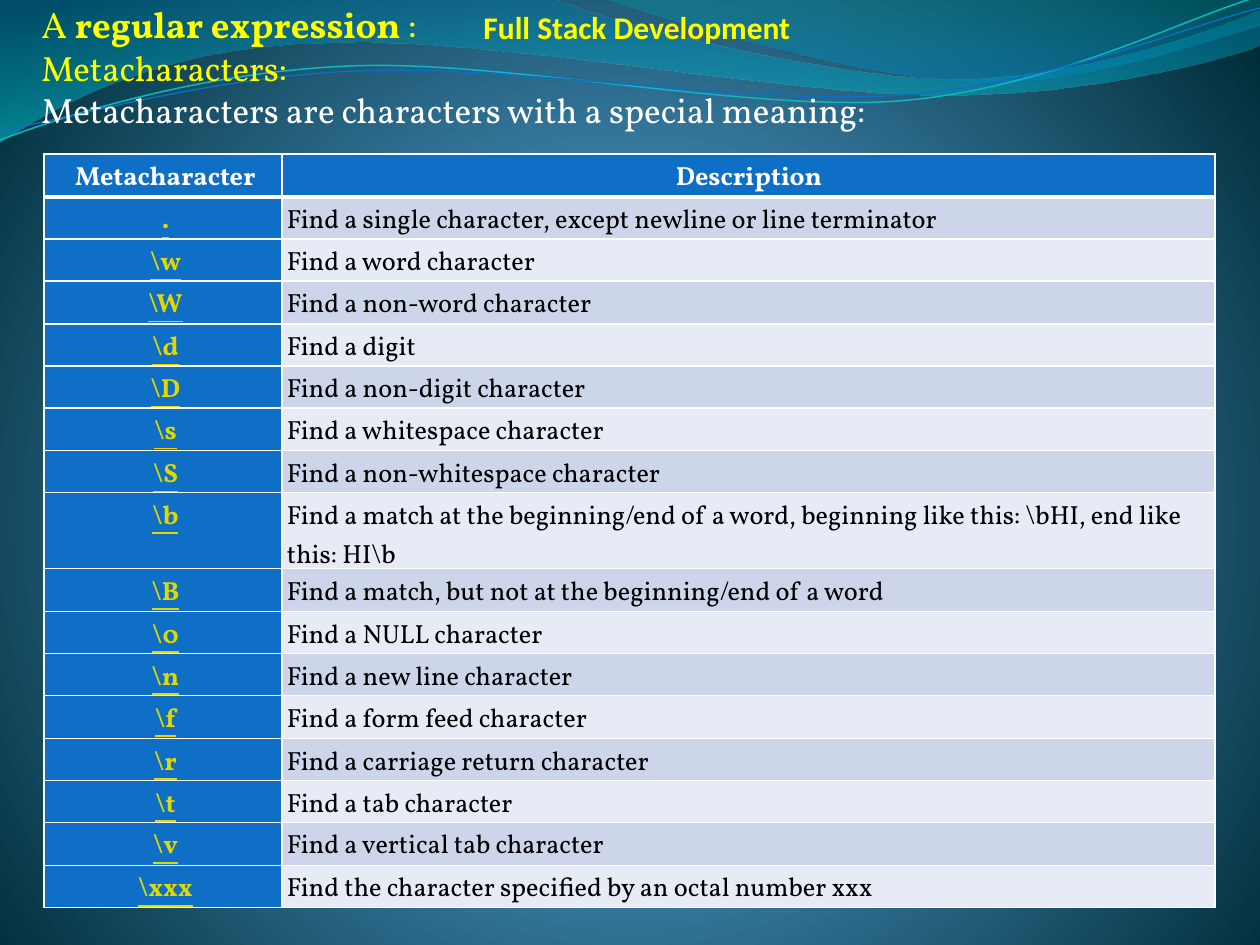
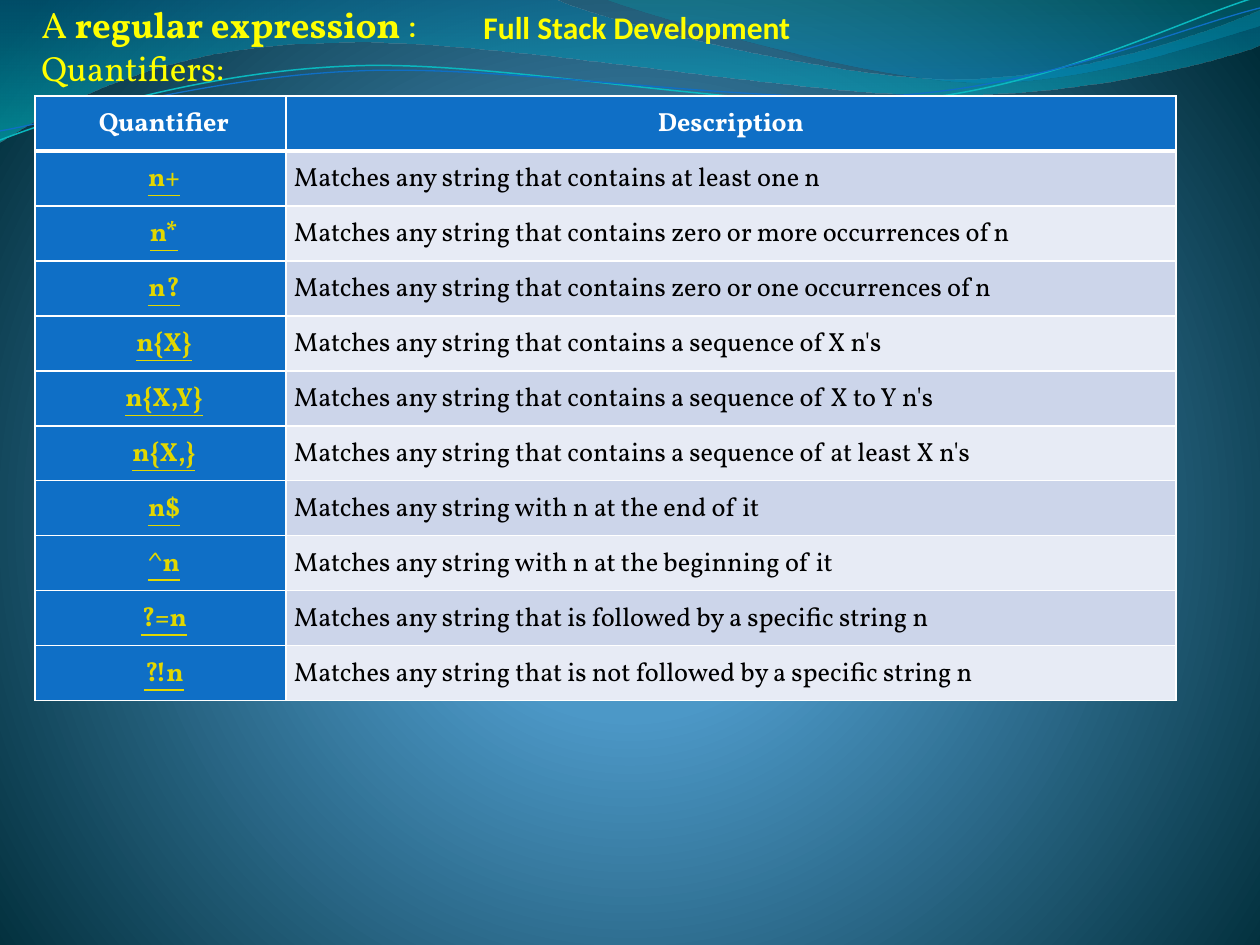
from lxml import etree
from pptx import Presentation
from pptx import util as u
from pptx.dml import color as dml
from pptx.enum import text
from pptx.oxml import ns

PX = 914400 // 126
HARD_SPACE = chr(160)
COLORS = {
    "yellow": "FFFF00", "white": "FFFFFF", "black": "000000", "code": "E2D700",
    "blue": "0F6FC6", "cyan": "0AB8BF", "band_dark": "CCD5EA", "band_light": "E7EBF5",
}
BACKGROUND_STOPS = [(0, "4AA0D6", 100), (25, "4C98C7", 100), (100, "002C38", 100)]
BACKGROUND_SHADE = '<a:path path="circle"><a:fillToRect l="10000" t="110000" r="10000" b="100000"/></a:path>'
WAVE_SHADE = '<a:lin ang="5400000" scaled="0"/>'

WAVES = [
    ([(0, "0074A1", 45), (100, "00C6CF", 55)], (0, 0), [
        [(554, -1)],
        [(600, 21), (837, 79), (955, 79)],
        [(1075, 79), (1207, 33), (1260, 11)],
        [(1261, 45)],
        [(1239, 55), (1096, 96), (940, 95)],
        [(784, 95), (481, 35), (324, 43)],
        [(163, 45), (58, 105), (-1, 142)],
        [(0, 0)],
    ]),
    ([(0, "00A1A9", 30), (80, "008BBF", 45)], (604, -1), [
        [(641, 14), (859, 78), (969, 82)],
        [(1079, 87), (1211, 40), (1260, 26)],
        [(1260, 0)],
        [(604, -1)],
    ]),
    (("cyan", 0.85), (0, 140), [
        [(60, 117), (199, 72), (349, 66)],
        [(498, 59), (747, 112), (898, 101)],
        [(1050, 89), (1182, 19), (1257, -3)],
    ]),
    (("blue", 0.75), (0, 131), [
        [(59, 121), (207, 77), (357, 71)],
        [(508, 64), (752, 106), (903, 95)],
        [(1053, 84), (1186, 26), (1260, 8)],
    ]),
]

METACHARACTERS = [
    ("Metacharacter", "Description"),
    (".", "Find a single character, except newline or line terminator"),
    (r"\w", "Find a word character"),
    (r"\W", "Find a non-word character"),
    (r"\d", "Find a digit"),
    (r"\D", "Find a non-digit character"),
    (r"\s", "Find a whitespace character"),
    (r"\S", "Find a non-whitespace character"),
    (r"\b", r"Find a match at the beginning/end of a word, beginning like this: \bHI, end like this: HI\b"),
    (r"\B", "Find a match, but not at the beginning/end of a word"),
    (r"\0", "Find a NULL character"),
    (r"\n", "Find a new line character"),
    (r"\f", "Find a form feed character"),
    (r"\r", "Find a carriage return character"),
    (r"\t", "Find a tab character"),
    (r"\v", "Find a vertical tab character"),
    (r"\xxx", "Find the character specified by an octal number xxx"),
]
QUANTIFIERS = [
    ("Quantifier", "Description"),
    ("n+", "Matches any string that contains at least one~n"),
    ("n*", "Matches any string that contains zero or more occurrences of~n"),
    ("n?", "Matches any string that contains zero or one occurrences of~n"),
    ("n{X}", "Matches any string that contains a sequence of~X~n's"),
    ("n{X,Y}", "Matches any string that contains a sequence of X to Y~n's"),
    ("n{X,}", "Matches any string that contains a sequence of at least X~n's"),
    ("n$", "Matches any string with~n~at the end of it"),
    ("^n", "Matches any string with~n~at the beginning of it"),
    ("?=n", "Matches any string that is followed by a specific string~n"),
    ("?!n", "Matches any string that is not followed by a specific string~n"),
]
SLIDES = [
    {
        "lines": [("Metacharacters:", "yellow"),
                  ("Metacharacters are characters with a special meaning:", "white")],
        "rows": METACHARACTERS, "left": 44, "top": 154, "widths": (238, 933),
        "heights": [76 if code == r"\b" else 43 if index % 3 == 0 else 42
                    for index, (code, _) in enumerate(METACHARACTERS)],
        "inset": 4, "side_inset": 5, "code_inset": 9,
    },
    {
        "lines": [("Quantifiers:", "yellow")],
        "rows": QUANTIFIERS, "left": 35, "top": 96, "widths": (251, 890),
        "heights": [55] * len(QUANTIFIERS),
        "inset": 8, "side_inset": 8, "code_inset": 15,
    },
]


def paint_gradient(element, fill, stops, shade):
    fill.gradient()
    old = next(element.iter(ns.qn("a:gradFill")))
    stop_xml = "".join(
        f'<a:gs pos="{position * 1000}"><a:srgbClr val="{color}">'
        f'<a:alpha val="{opacity * 1000}"/></a:srgbClr></a:gs>'
        for position, color, opacity in stops)
    gradient = etree.fromstring(
        f'<a:gradFill {ns.nsdecls("a")} rotWithShape="1"><a:gsLst>{stop_xml}</a:gsLst>{shade}</a:gradFill>')
    old.getparent().replace(old, gradient)


def add_run(paragraph, words, size, color, bold=False, underline=False, font="Vollkorn"):
    run = paragraph.add_run()
    run.text = words.replace("~", HARD_SPACE)
    run.font.name = font
    run.font.size = u.Pt(size)
    run.font.bold = bold
    run.font.underline = underline
    run.font.color.rgb = dml.RGBColor.from_string(COLORS[color])


presentation = Presentation()
presentation.slide_width = 1260 * PX
presentation.slide_height = 945 * PX

for content in SLIDES:
    slide = presentation.slides.add_slide(presentation.slide_layouts[6])
    paint_gradient(slide.element, slide.background.fill, BACKGROUND_STOPS, BACKGROUND_SHADE)

    for paint, start, segments in WAVES:
        filled = isinstance(paint, list)
        builder = slide.shapes.build_freeform(*start, scale=PX)
        builder.add_line_segments([point for segment in segments for point in segment], close=filled)
        wave = builder.convert_to_shape()
        wave.shadow.inherit = False
        lines = iter(list(wave.element.iter(ns.qn("a:lnTo"))))
        for segment in segments:
            pieces = [next(lines) for _ in segment]
            if len(pieces) == 3:
                curve = etree.Element(ns.qn("a:cubicBezTo"))
                pieces[0].addprevious(curve)
                for piece in pieces:
                    curve.append(piece[0])
                    piece.getparent().remove(piece)
        if filled:
            paint_gradient(wave.element, wave.fill, paint, WAVE_SHADE)
            wave.line.fill.background()
        else:
            wave.fill.background()
            wave.line.color.rgb = dml.RGBColor.from_string(COLORS[paint[0]])
            wave.line.width = u.Pt(paint[1])

    course = slide.shapes.add_textbox(243 * PX, 2 * PX, 788 * PX, 50 * PX)
    heading = slide.shapes.add_textbox(29 * PX, -4 * PX, 1206 * PX, 782 * PX)
    for box in (course, heading):
        box.text_frame.word_wrap = True
        box.text_frame.auto_size = text.MSO_AUTO_SIZE.SHAPE_TO_FIT_TEXT

    paragraph = course.text_frame.paragraphs[0]
    paragraph.alignment = text.PP_ALIGN.CENTER
    add_run(paragraph, "Full Stack Development", 18, "yellow", bold=True, font="Calibri")

    paragraph = heading.text_frame.paragraphs[0]
    add_run(paragraph, "A~", 21, "yellow")
    add_run(paragraph, "regular expression~", 21, "yellow", bold=True)
    add_run(paragraph, ":", 21, "yellow")
    for words, color in content["lines"]:
        add_run(heading.text_frame.add_paragraph(), words, 20, color)

    rows, widths, heights = content["rows"], content["widths"], content["heights"]
    table = slide.shapes.add_table(
        len(rows), len(widths), content["left"] * PX, content["top"] * PX,
        sum(widths) * PX, sum(heights) * PX).table
    for column, width in zip(table.columns, widths):
        column.width = width * PX
    for row_index, row in enumerate(rows):
        table.rows[row_index].height = heights[row_index] * PX
        for column_index, words in enumerate(row):
            is_header, is_code = row_index == 0, column_index == 0
            cell = table.cell(row_index, column_index)
            cell.margin_left = content["code_inset" if is_code else "side_inset"] * PX
            cell.margin_right = cell.margin_top = cell.margin_bottom = content["inset"] * PX
            band = "band_dark" if row_index % 2 else "band_light"
            cell.fill.solid()
            cell.fill.fore_color.rgb = dml.RGBColor.from_string(
                COLORS["blue" if is_header or is_code else band])
            properties = cell._tc.get_or_add_tcPr()
            for position, side in enumerate(("lnL", "lnR", "lnT", "lnB")):
                at_rule = (row_index, side) in ((0, "lnB"), (1, "lnT"))
                properties.insert(position, etree.fromstring(
                    f'<a:{side} {ns.nsdecls("a")} w="{u.Pt(3 if at_rule else 1)}"><a:solidFill>'
                    f'<a:srgbClr val="{COLORS["white"]}"/></a:solidFill></a:{side}>'))
            paragraph = cell.text_frame.paragraphs[0]
            paragraph.line_spacing = 1.07
            paragraph.space_before = paragraph.space_after = u.Pt(15)
            if is_header or is_code:
                paragraph.alignment = text.PP_ALIGN.CENTER
            color = "white" if is_header else "code" if is_code else "black"
            add_run(paragraph, words, 15, color, bold=is_header or is_code,
                    underline=is_code and not is_header)

presentation.save("out.pptx")
